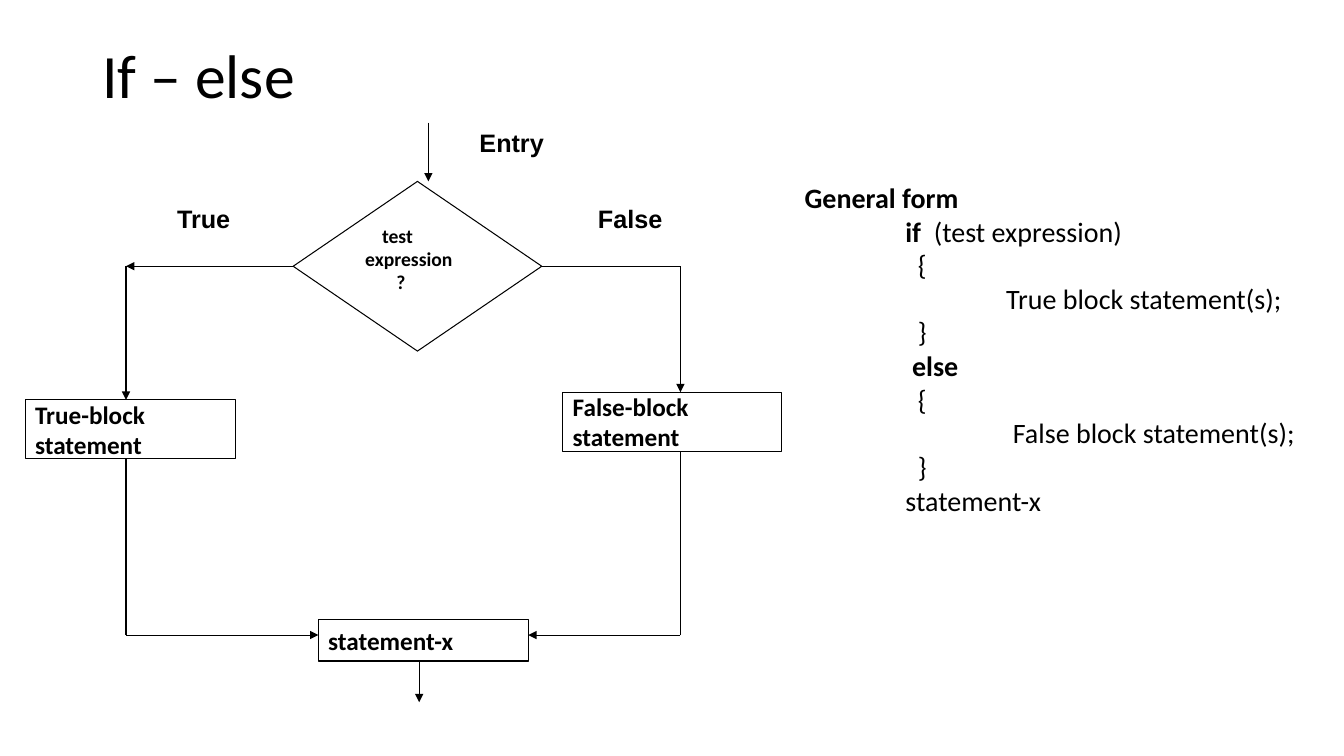
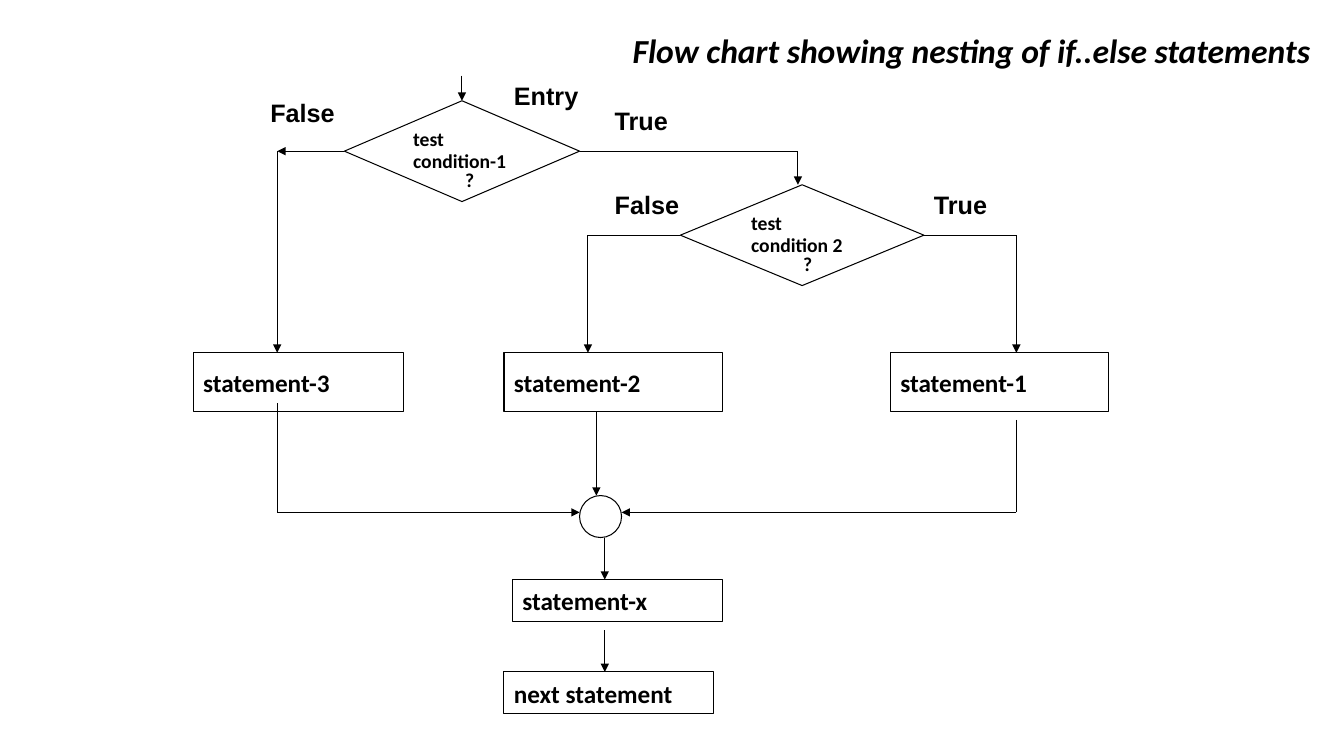
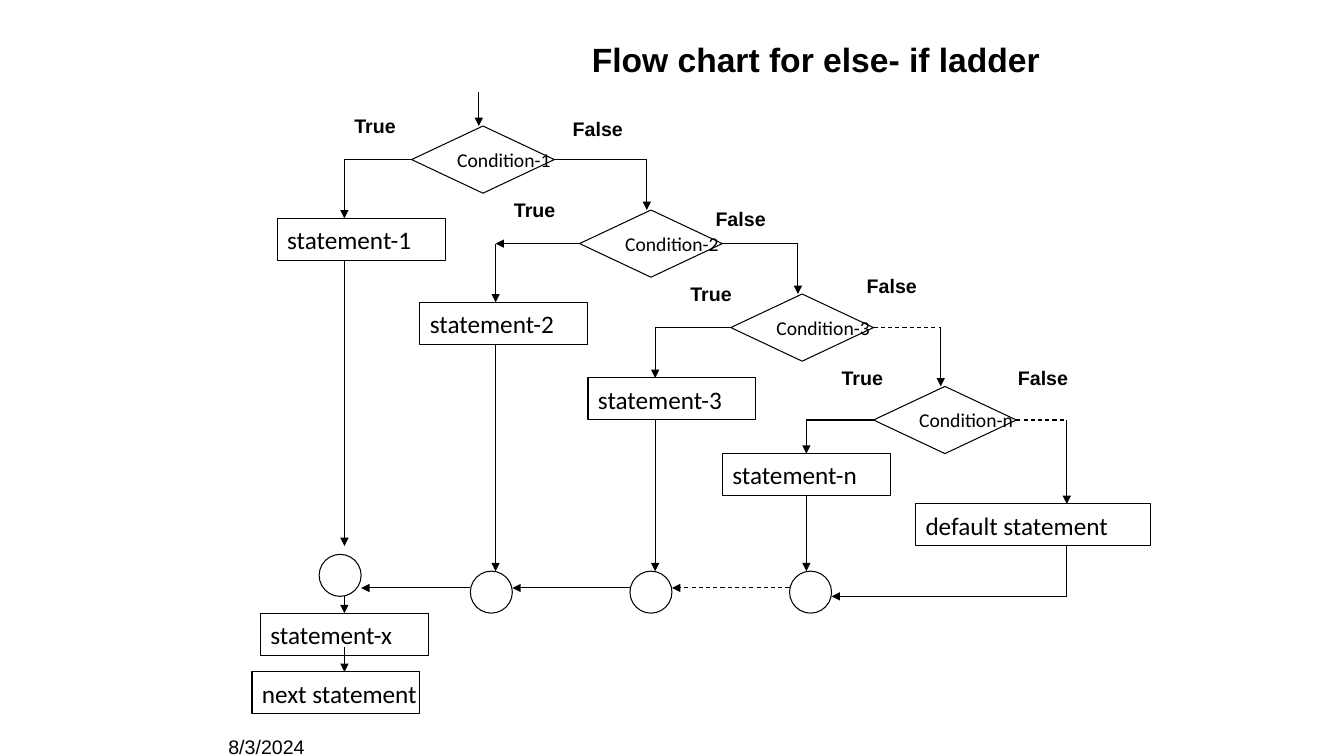
from dataclasses import dataclass

from lxml.etree import SubElement
from pptx import Presentation
from pptx.dml.color import RGBColor
from pptx.enum.dml import MSO_LINE_DASH_STYLE as Dash
from pptx.enum.shapes import MSO_CONNECTOR as Link, MSO_SHAPE as Shape
from pptx.enum.text import MSO_ANCHOR as Anchor, PP_ALIGN as Align
from pptx.oxml.ns import qn
from pptx.util import Cm, Pt


@dataclass(frozen=True)
class Theme:
    """Colours, fonts and sizes shared by the slides."""
    ink: RGBColor = RGBColor(0, 0, 0)
    paper: RGBColor = RGBColor(255, 255, 255)
    body_font: str = "Calibri"
    label_font: str = "Arial"
    headline: int = 44
    heading: int = 24
    code: int = 20
    normal: int = 18
    small: int = 14
    line: float = 0.75
    grid_cm: float = 2.54 / 12


THEME = Theme()


def grid(steps):
    """Turn grid steps into a length."""
    return Cm(steps * THEME.grid_cm)


def style(paragraph, size, font=THEME.body_font, bold=False, align=Align.LEFT):
    """Set the font and alignment of a paragraph."""
    paragraph.alignment = align
    paragraph.font.name = font
    paragraph.font.size = Pt(size)
    paragraph.font.bold = bold
    paragraph.font.color.rgb = THEME.ink


def indent(paragraph, steps):
    """Indent a whole paragraph by grid steps."""
    properties = paragraph._p.get_or_add_pPr()
    properties.set("marL", str(int(grid(steps))))
    properties.set("indent", "0")


def add_text(slide, box, text, size, font=THEME.label_font, bold=True):
    """Place one line of text in a box."""
    frame = slide.shapes.add_textbox(*map(grid, box)).text_frame
    frame.word_wrap = True
    frame.text = text
    style(frame.paragraphs[0], size, font, bold)


def add_titled_slide(deck, text, box, size, font=THEME.body_font, bold=True,
                     align=Align.RIGHT, anchor=Anchor.MIDDLE):
    """Add a title-only slide with its title in the given box."""
    slide = deck.slides.add_slide(deck.slide_layouts[5])
    title = slide.shapes.title
    title.left, title.top, title.width, title.height = map(grid, box)
    frame = title.text_frame
    frame.text = text
    frame.word_wrap = True
    frame.vertical_anchor = anchor
    style(frame.paragraphs[0], size, font, bold, align)
    return slide


class FlowChart:
    """A flow chart placed from its top left corner, in grid steps."""

    def __init__(self, slide, left, top, bold=True, label_size=THEME.normal):
        self.slide, self.left, self.top = slide, left, top
        self.bold, self.label_size = bold, label_size
        self.sites = {}

    def place(self, x, y):
        """Turn a point of the chart into a point of the slide."""
        return grid(self.left + x), grid(self.top + y)

    def outline(self, kind, x, y, width, height):
        """Draw an empty node and note the middles of its sides."""
        node = self.slide.shapes.add_shape(kind, *self.place(x, y), grid(width), grid(height))
        node.shadow.inherit = False
        node.fill.solid()
        node.fill.fore_color.rgb = THEME.paper
        node.line.color.rgb = THEME.ink
        node.line.width = Pt(THEME.line)
        if kind != Shape.OVAL:
            middles = ((x + width / 2, y), (x, y + height / 2),
                       (x + width / 2, y + height), (x + width, y + height / 2))
            for side, (mid_x, mid_y) in enumerate(middles):
                self.sites[round(mid_x, 1), round(mid_y, 1)] = node, side
        return node

    def node(self, kind, text, x, y, width, height, size=THEME.normal):
        """Draw a node with unwrapped text."""
        frame = self.outline(kind, x, y, width, height).text_frame
        frame.word_wrap = False
        frame.vertical_anchor = Anchor.MIDDLE
        frame.text = text
        for paragraph in frame.paragraphs:
            style(paragraph, size, bold=self.bold)

    def statement(self, text, x, y, width=25, height=5):
        """Draw a statement box."""
        self.node(Shape.RECTANGLE, text, x, y, width, height)

    def test(self, lines, x, y, width, height):
        """Draw a decision whose lines have their own indent and space before."""
        frame = self.outline(Shape.FLOWCHART_DECISION, x, y, width, height).text_frame
        frame.word_wrap = True
        frame.vertical_anchor = Anchor.TOP
        frame.text = "\n".join(text for text, _, _ in lines)
        for paragraph, (_, steps, gap) in zip(frame.paragraphs, lines):
            indent(paragraph, steps)
            paragraph.line_spacing = 0.8
            paragraph.space_before = Pt(gap)
            style(paragraph, THEME.small, bold=True)

    def joint(self, x, y):
        """Draw a circle where branches meet."""
        self.outline(Shape.OVAL, x, y, 5, 5)

    def label(self, text, x, y):
        """Write a branch label."""
        add_text(self.slide, (self.left + x, self.top + y, 10.7, 4.8), text, self.label_size)

    def route(self, *points, arrow=True, every=False, dashed=False):
        """Draw straight segments through points, with an arrow at the end or at every corner."""
        for start, end in zip(points, points[1:]):
            segment = self.slide.shapes.add_connector(
                Link.STRAIGHT, *self.place(*start), *self.place(*end))
            segment.line.color.rgb = THEME.ink
            segment.line.width = Pt(THEME.line)
            if dashed:
                segment.line.dash_style = Dash.DASH
            if every or arrow and end == points[-1]:
                SubElement(segment.line._get_or_add_ln(), qn("a:tailEnd"), type="triangle")
            SubElement(segment._element.spPr, qn("a:effectLst"))
            if start in self.sites:
                segment.begin_connect(*self.sites[start])
            if end in self.sites:
                segment.end_connect(*self.sites[end])


def add_general_form(slide, box):
    """Write the general form of the statement in a box."""
    lines = (
        (0, (("General form", True),)),
        (12, (("if ", True), (" (test expression)", False))),
        (13.5, (("{", False),)),
        (24, (("True block statement(s);", False),)),
        (13.5, (("}", False),)),
        (12.8, (("else", True),)),
        (13.5, (("{", False),)),
        (24.8, (("False block statement(s);", False),)),
        (13.5, (("}", False),)),
        (12, (("statement-x", False),)),
    )
    frame = slide.shapes.add_textbox(*map(grid, box)).text_frame
    frame.word_wrap = True
    for number, (steps, parts) in enumerate(lines):
        paragraph = frame.add_paragraph() if number else frame.paragraphs[0]
        indent(paragraph, steps)
        style(paragraph, THEME.code, bold=parts[0][1])
        for text, bold in parts:
            run = paragraph.add_run()
            run.text = text
            if bold != parts[0][1]:
                run.font.bold = bold


def draw_if_else(slide, left, top):
    """Draw the two branches of if and else."""
    chart = FlowChart(slide, left, top)
    chart.test((("test", 2, 0), ("expression", 0, 2.8), ("?", 3.7, 2.8)), 31.9, 7, 29.6, 20.2)
    chart.statement("statement-x", 34.9, 59.1)
    chart.statement("True-block\nstatement", 0, 33, height=7)
    chart.statement("False-block\nstatement", 64, 32.1, 26, 7)
    chart.route((48, 0), (48, 7))
    chart.route((31.9, 17.1), (12, 17.1), (12, 33), every=True)
    chart.route((61.5, 17.1), (78, 17.1), (78, 32.1))
    chart.route((12, 40), (12, 61), (34.9, 61))
    chart.route((78, 39.1), (78, 61), (59.9, 61))
    chart.route((46.9, 64.1), (46.9, 69))
    for text, x, y in (("True", 16.9, 9), ("False", 67, 9), ("Entry", 52.9, 0)):
        chart.label(text, x, y)


def draw_nesting(slide, left, top):
    """Draw a test nested in the true branch of another."""
    chart = FlowChart(slide, left, top)
    for condition, x, y, width in (("condition-1", 18, 3, 28), ("condition 2", 58, 13, 29)):
        chart.test((("test", 0, 0), (condition, 0, 2.8), ("?", 6.2, 0)), x, y, width, 12)
    for number, x, width in ((3, 0, 25), (2, 37, 26), (1, 83, 26)):
        chart.statement(f"statement-{number}", x, 33, width, 7)
    chart.joint(46, 50)
    chart.statement("statement-x", 38, 60)
    chart.statement("next statement", 37, 71)
    chart.route((32, 0), (32, 3))
    chart.route((18, 9), (10, 9), (10, 33), every=True)
    chart.route((46, 9), (72, 9), (72, 13))
    chart.route((58, 19), (47, 19), (47, 33))
    chart.route((87, 19), (98, 19), (98, 33))
    chart.route((10, 39), (10, 52), (46, 52))
    chart.route((98, 41), (98, 52), (51, 52))
    chart.route((48, 40), (48, 50))
    chart.route((49, 55), (49, 60))
    chart.route((49, 66), (49, 71))
    for text, x, y in (("Entry", 37, 0), ("False", 8, 2), ("True", 49, 3),
                       ("False", 49, 13), ("True", 87, 13)):
        chart.label(text, x, y)


def draw_ladder(slide, left, top):
    """Draw a ladder of conditions whose branches meet at joints."""
    chart = FlowChart(slide, left, top, bold=False, label_size=THEME.small)
    rungs = (
        ("1", (19, 4), (3, 15), 11, (47, 14), (8, 55), (11, 2), (37, 2.3)),
        ("2", (39, 14), (20, 25), 29, (65, 24), (26, 57), (30, 12), (54, 13)),
        ("3", (57, 24), (40, 34), 48, (82, 35), (45, 57), (51, 22), (72, 21)),
        ("n", (74, 35), (56, 43), 66, (97, 49), (64, 57), (69, 32), (90, 32)),
    )
    chart.statement("default statement", 79, 49, 28)
    chart.statement("statement-x", 1, 62, 20)
    chart.statement("next statement", 0, 69, 20)
    for name, condition, statement, _, _, joint, _, _ in rungs:
        chart.node(Shape.FLOWCHART_DECISION, f"Condition-{name}", *condition, 17, 8, THEME.small)
        chart.statement(f"statement-{name}", *statement, 20)
        chart.joint(*joint)
    for name, (x, y), (_, box_top), branch, fall, joint, true_at, false_at in rungs:
        middle = y + 4
        chart.route((x, middle), (branch, middle), (branch, box_top), every=name == "2")
        chart.route((branch, box_top + 5), (branch, 54 if name == "1" else joint[1]))
        chart.route((x + 17, middle), (fall[0], middle), arrow=False, dashed=name in "3n")
        chart.route((fall[0], middle), fall)
        chart.label("True", *true_at)
        chart.label("False", *false_at)
    for rung, following in zip(rungs, rungs[1:]):
        chart.route((following[5][0], 59), (rung[5][0] + 5, 59), dashed=following[0] == "n")
    chart.route((97, 54), (97, 60), (69, 60))
    chart.route((27, 0), (27, 4))
    chart.route((11, 60), (11, 62))
    chart.route((11, 66), (11, 69))


def main():
    """Build the three slides."""
    deck = Presentation()
    deck.slide_width, deck.slide_height = grid(160), grid(90)

    if_else = add_titled_slide(deck, "If – else", (11, 4.8, 138, 17.4), THEME.headline,
                               bold=False, align=Align.LEFT, anchor=Anchor.TOP)
    if_else.shapes.title.text_frame.paragraphs[0].line_spacing = 0.9
    draw_if_else(if_else, 3, 14.6)
    add_general_form(if_else, (94.6, 20.9, 62, 41.6))

    nesting = add_titled_slide(deck, "Flow chart showing nesting of if..else statements",
                               (20, 3, 137.2, 6), THEME.heading)
    nesting.shapes.title.text_frame.paragraphs[0].font.italic = True
    draw_nesting(nesting, 23, 9)

    ladder = add_titled_slide(deck, "Flow chart for else- if ladder", (20, 4, 105, 6),
                              THEME.heading, THEME.label_font)
    draw_ladder(ladder, 30, 11)
    add_text(ladder, (26, 86.9, 28, 3.1), "8/3/2024", THEME.small, bold=False)

    deck.save("out.pptx")


if __name__ == "__main__":
    main()
